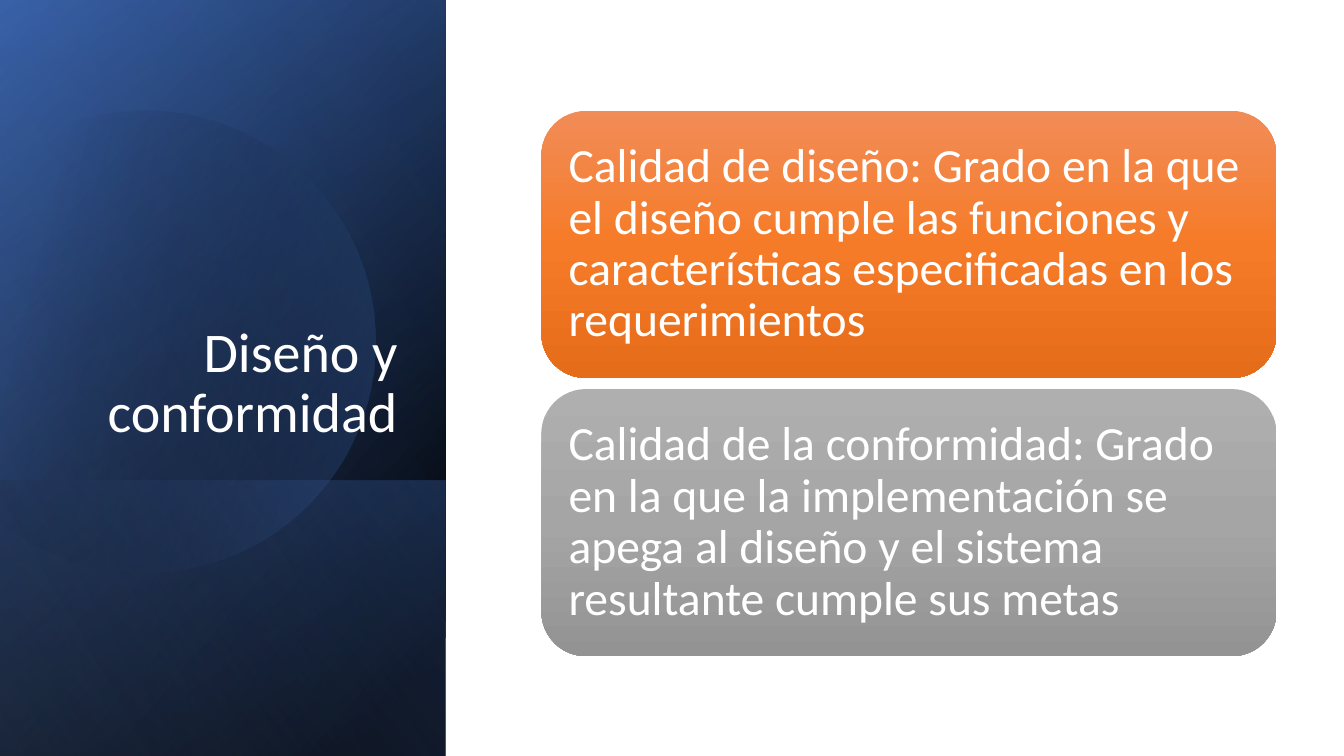
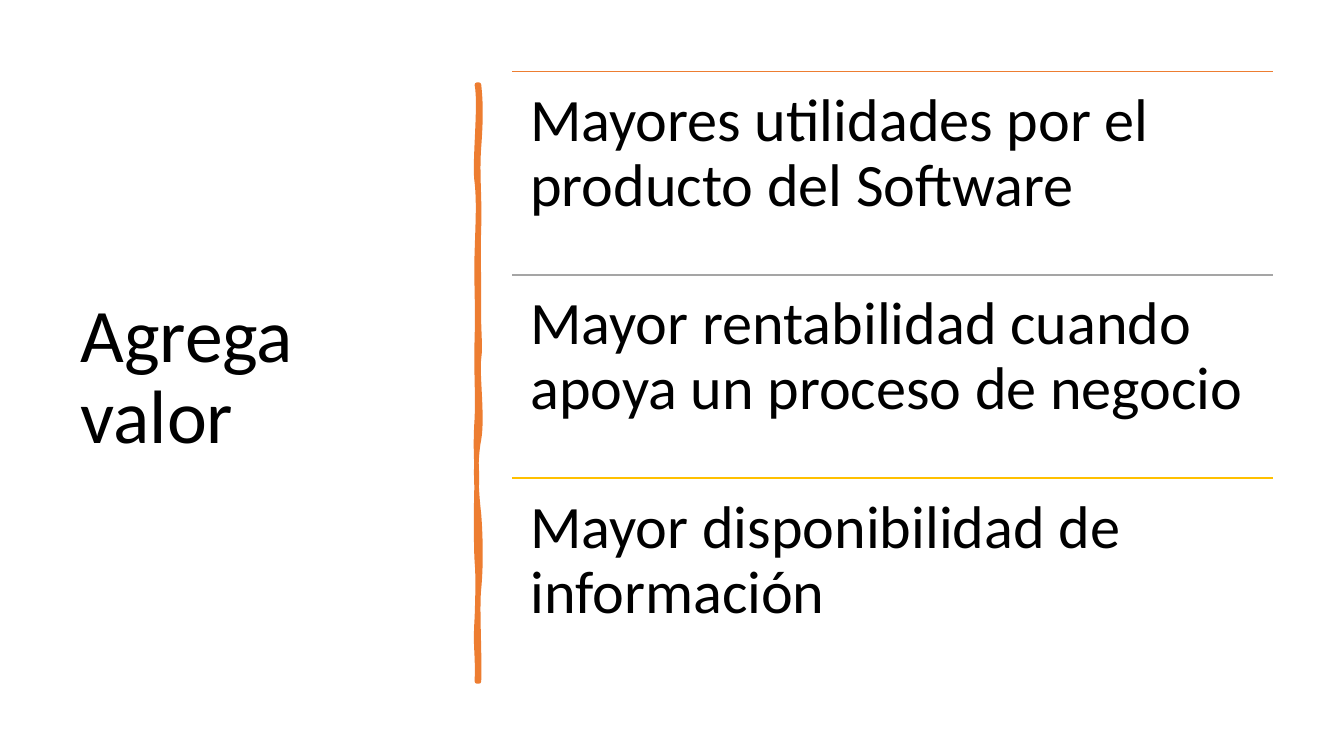
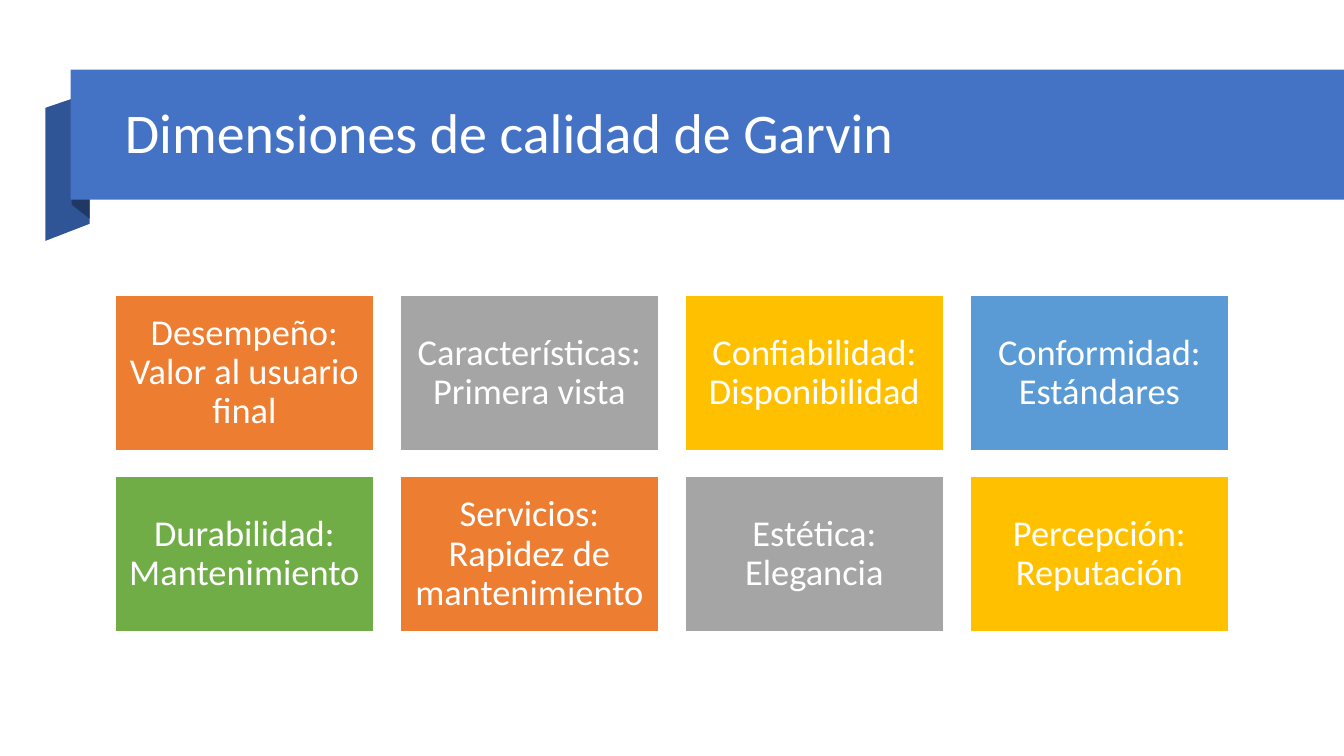
from math import cos, radians, sin

from lxml.etree import SubElement
from pptx import Presentation
from pptx.dml.color import RGBColor
from pptx.enum.shapes import MSO_CONNECTOR, MSO_SHAPE
from pptx.enum.text import MSO_ANCHOR as ANCHOR, PP_ALIGN as ALIGN
from pptx.oxml.ns import qn
from pptx.util import Inches, Pt

FONT = "Calibri"
WHITE, BLACK = "FFFFFF", "000000"
BLUE, DARK_BLUE, NAVY = "4472C4", "2F5597", "203864"
ORANGE, GRAY, GOLD = "ED7D31", "A5A5A5", "FFC000"
SKY, GREEN = "5B9BD5", "70AD47"


def paint(shape, fill=None, line=None, weight=1, angle=0):
    properties = shape._element.spPr
    if isinstance(fill, str):
        shape.fill.solid()
        shape.fill.fore_color.rgb = RGBColor.from_string(fill)
    elif fill:
        shape.fill.gradient()
        gradient = properties.find(qn("a:gradFill"))
        gradient.find(qn("a:lin")).set("ang", str(angle * 60000))
        stops = gradient.find(qn("a:gsLst"))
        stops.clear()
        for position, color, opacity in fill:
            stop = SubElement(stops, qn("a:gs"), pos=str(position * 1000))
            tone = SubElement(stop, qn("a:srgbClr"), val=color)
            SubElement(tone, qn("a:alpha"), val=str(opacity * 1000))
    if line:
        shape.line.color.rgb = RGBColor.from_string(line)
        shape.line.width = Pt(weight)
    else:
        shape.line.fill.background()
    SubElement(properties, qn("a:effectLst"))


def write(shape, text, size, color=WHITE, align=ALIGN.LEFT, anchor=ANCHOR.MIDDLE, inset=None):
    frame = shape.text_frame
    frame.word_wrap = True
    frame.vertical_anchor = anchor
    if inset:
        frame.margin_left = frame.margin_right = Inches(inset)
        frame.margin_top = frame.margin_bottom = Inches(inset)
    paragraph = frame.paragraphs[0]
    paragraph.alignment = align
    paragraph.line_spacing = 0.9
    run = paragraph.add_run()
    run.text = text
    run.font.name = FONT
    run.font.size = Pt(size)
    run.font.color.rgb = RGBColor.from_string(color)


deck = Presentation()
deck.slide_width, deck.slide_height = Inches(13.33), Inches(7.5)
design, value, dimensions = [
    deck.slides.add_slide(deck.slide_layouts[6]).shapes for _ in range(3)
]

panel_box = (-1.54, 1.54, 7.5, 4.42)
foot_box = (0.84, 3.93, 2.74, 4.42)
panel_layers = [
    (panel_box, 50, [(8, BLACK, 100), (100, DARK_BLUE, 100)]),
    (panel_box, 30, [(0, BLACK, 0), (99, BLUE, 46)]),
    (foot_box, 130, [(2, BLUE, 29), (100, BLACK, 30)]),
    (panel_box, 120, [(0, BLACK, 0), (99, "8FAADC", 11)]),
]
for index, (box, angle, stops) in enumerate(panel_layers):
    if index == 3:
        center_x, center_y, radius = 1.43, 3.35, 2.29
        turns = (-118, -90, 0, 90, 150)
        rim = [
            (Inches(center_x + radius * cos(radians(turn))),
             Inches(center_y + radius * sin(radians(turn))))
            for turn in turns
        ]
        outline = design.build_freeform(*rim[0])
        outline.add_line_segments(rim[1:], close=True)
        disc = outline.convert_to_shape()
        disc.rotation = 343.9
        trail = next(disc._element.iter(qn("a:path")))
        for side, start, end in zip(trail.findall(qn("a:lnTo")), turns, turns[1:]):
            arc = SubElement(trail, qn("a:arcTo"), wR=str(Inches(radius)), hR=str(Inches(radius)),
                             stAng=str(start % 360 * 60000), swAng=str((end - start) * 60000))
            trail.replace(side, arc)
        paint(disc, [(29, BLACK, 0), (100, BLUE, 43)], angle=30)
    layer = design.add_shape(MSO_SHAPE.RECTANGLE, *map(Inches, box))
    layer.rotation = 90
    layer._element.spPr.xfrm.set("flipH", "1")
    paint(layer, stops, angle=angle)

design_title = design.add_textbox(Inches(0.63), Inches(1.84), Inches(3.41), Inches(2.62))
write(design_title, "Diseño y conformidad", 40, align=ALIGN.RIGHT, anchor=ANCHOR.BOTTOM)

qualities = [
    ("Calidad de diseño: Grado en la que el diseño cumple las funciones y "
     "características especificadas en los requerimientos",
     ("F18C57", "F67B28", "E56C19")),
    ("Calidad de la conformidad: Grado en la que la implementación se apega "
     "al diseño y el sistema resultante cumple sus metas",
     ("AFAFAF", "A5A5A5", "939393")),
]
for row, (definition, shades) in enumerate(qualities):
    card = design.add_shape(MSO_SHAPE.ROUNDED_RECTANGLE, Inches(5.37), Inches(1.1 + 2.76 * row),
                            Inches(7.29), Inches(2.65))
    paint(card, [(50 * step, shade, 100) for step, shade in enumerate(shades)], angle=90)
    write(card, definition, 34, inset=0.14)

value_title = value.add_textbox(Inches(0.7), Inches(0.7), Inches(3.74), Inches(6.11))
write(value_title, "Agrega valor", 54, BLACK)

brush_curves = [
    [(4.77, 1.02), (4.77, 1.19), (4.75, 1.46)],
    [(4.73, 1.73), (4.76, 1.95), (4.75, 2.26)],
    [(4.74, 2.57), (4.75, 2.62), (4.75, 2.94)],
    [(4.74, 3.25), (4.77, 3.42), (4.75, 3.56)],
    [(4.73, 3.7), (4.79, 4.14), (4.75, 4.36)],
    [(4.71, 4.57), (4.72, 4.84), (4.75, 5.1)],
    [(4.77, 5.36), (4.77, 5.64), (4.75, 5.84)],
    [(4.73, 6.03), (4.76, 6.5), (4.75, 6.76)],
    [(4.74, 6.76), (4.73, 6.76), (4.73, 6.76)],
    [(4.74, 6.46), (4.71, 6.44), (4.73, 6.13)],
    [(4.74, 5.83), (4.74, 5.7), (4.73, 5.57)],
    [(4.72, 5.44), (4.72, 4.95), (4.73, 4.77)],
    [(4.73, 4.59), (4.71, 4.45), (4.73, 4.15)],
    [(4.74, 3.86), (4.72, 3.73), (4.73, 3.35)],
    [(4.74, 2.98), (4.72, 2.81), (4.73, 2.5)],
    [(4.74, 2.18), (4.75, 2), (4.73, 1.81)],
    [(4.7, 1.63), (4.77, 1.04), (4.73, 0.84)],
    [(4.74, 0.84), (4.74, 0.84), (4.75, 0.84)],
]
brush_left, brush_top = 1.78, 3.79
brush_curves = [[(Inches(y - 0.84), Inches(4.75 - x)) for x, y in curve] for curve in brush_curves]
outline = value.build_freeform(Inches(brush_left), Inches(brush_top))
outline.add_line_segments(
    [(Inches(brush_left) + curve[-1][0], Inches(brush_top) + curve[-1][1]) for curve in brush_curves],
    close=True)
brush = outline.convert_to_shape()
brush.rotation = 90
trail = next(brush._element.iter(qn("a:path")))
for side, curve in zip(trail.findall(qn("a:lnTo")), brush_curves):
    bend = SubElement(trail, qn("a:cubicBezTo"))
    for x, y in curve:
        SubElement(bend, qn("a:pt"), x=str(x), y=str(y))
    trail.replace(side, bend)
paint(brush, ORANGE, ORANGE, 3.25)

benefits = [
    ("Mayores utilidades por el producto del Software", ORANGE),
    ("Mayor rentabilidad cuando apoya un proceso de negocio", GRAY),
    ("Mayor disponibilidad de información", GOLD),
]
first_rule, last_edge = 0.71, 6.76
pitch = (last_edge - first_rule) / len(benefits)
for row, (benefit, color) in enumerate(benefits):
    top = Inches(first_rule + pitch * row)
    rule = value.add_connector(MSO_CONNECTOR.STRAIGHT, Inches(5.08), top, Inches(12.63), top)
    paint(rule, line=color)
    entry = value.add_textbox(Inches(5.08), top, Inches(7.55), Inches(pitch))
    write(entry, benefit, 43, BLACK, anchor=ANCHOR.TOP, inset=0.18)

ribbon_folds = [
    ([(0.89, 2.22), (0.45, 2.39), (0.45, 1.07), (0.89, 0.92)], DARK_BLUE),
    ([(0.89, 2.17), (0.71, 2.03), (0.71, 0.7), (0.89, 0.85)], NAVY),
]
for corners, color in ribbon_folds:
    corners = [(Inches(x), Inches(y)) for x, y in corners]
    outline = dimensions.build_freeform(*corners[0])
    outline.add_line_segments(corners[1:], close=True)
    paint(outline.convert_to_shape(), color)
ribbon = dimensions.add_shape(MSO_SHAPE.RECTANGLE, Inches(0.7), Inches(0.69), Inches(12.63), Inches(1.29))
paint(ribbon, BLUE)
dimensions_title = dimensions.add_textbox(Inches(1.14), Inches(0.86), Inches(11.27), Inches(0.96))
write(dimensions_title, "Dimensiones de calidad de Garvin", 40)

garvin = [
    ("Desempeño: Valor al usuario final", ORANGE),
    ("Características: Primera vista", GRAY),
    ("Confiabilidad: Disponibilidad", GOLD),
    ("Conformidad: Estándares", SKY),
    ("Durabilidad: Mantenimiento", GREEN),
    ("Servicios: Rapidez de mantenimiento", ORANGE),
    ("Estética: Elegancia", GRAY),
    ("Percepción: Reputación", GOLD),
]
first_left, last_left = 1.14, 9.62
for index, (dimension, color) in enumerate(garvin):
    row, column = divmod(index, 4)
    tile = dimensions.add_shape(MSO_SHAPE.RECTANGLE,
                                Inches(first_left + (last_left - first_left) / 3 * column),
                                Inches(2.93 + 1.8 * row), Inches(2.57), Inches(1.54))
    paint(tile, color, WHITE)
    write(tile, dimension, 26, align=ALIGN.CENTER, inset=0.11)

deck.save("out.pptx")
